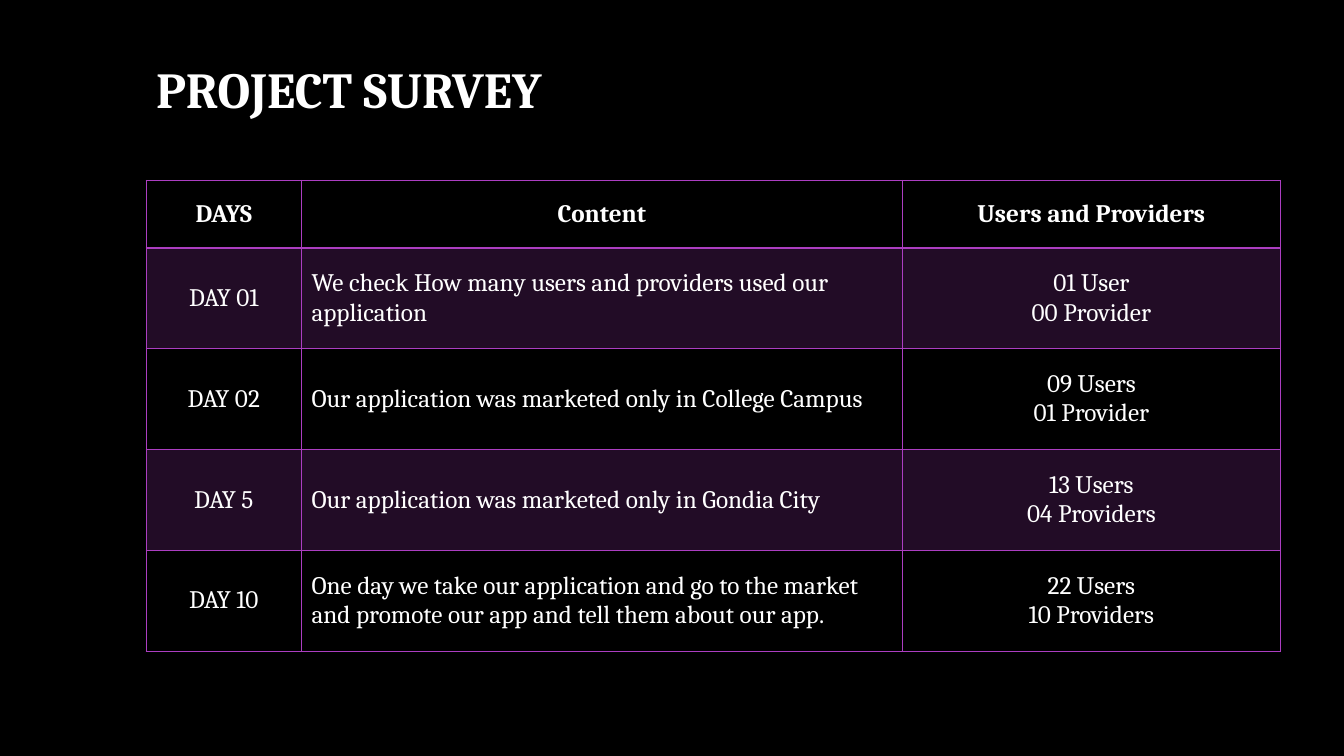
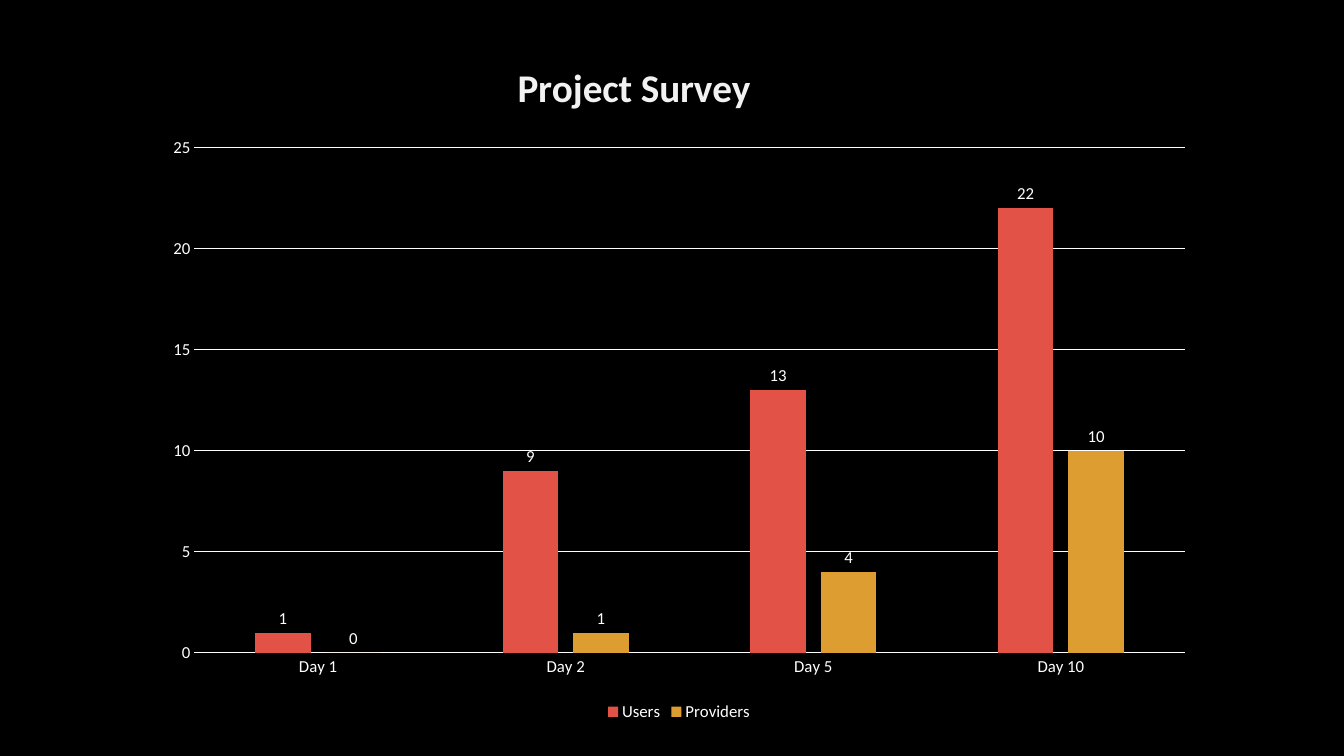
"""Build a two-slide project survey: a table of days and a column chart."""
from dataclasses import dataclass

from lxml.etree import SubElement
from pptx import Presentation
from pptx.chart.data import CategoryChartData as ChartData
from pptx.dml.color import RGBColor as Rgb
from pptx.enum.chart import XL_CHART_TYPE as Kind
from pptx.enum.chart import XL_LABEL_POSITION as Spot
from pptx.enum.chart import XL_LEGEND_POSITION as Side
from pptx.enum.chart import XL_TICK_MARK as Tick
from pptx.enum.text import MSO_ANCHOR as Anchor
from pptx.enum.text import PP_ALIGN as Align
from pptx.oxml import parse_xml
from pptx.oxml.ns import nsdecls, qn
from pptx.util import Inches, Pt

HUES = {
    "back": "000000",
    "text": "FFFFFF",
    "title": "F2F2F2",
    "grid": "AC3EC1",
    "users": "E25247",
    "firms": "DD9D31",
}
SERIF, SANS = "Cambria", "Calibri"


@dataclass(frozen=True)
class Entry:
    day: str
    note: str
    count: str


@dataclass(frozen=True)
class Group:
    name: str
    hue: str
    vals: tuple[int, ...]


HEAD = Entry("DAYS", "Content", "Users and Providers")
ROWS = (
    Entry("DAY 01", "We check How many users and providers used our application",
          "01 User\n00 Provider"),
    Entry("DAY 02", "Our application was marketed only in College Campus",
          "09 Users\n01 Provider"),
    Entry("DAY 5", "Our application was marketed only in Gondia City",
          "13 Users\n04 Providers"),
    Entry("DAY 10", "One day we take our application and go to the market and "
          "promote our app and tell them about our app.",
          "22 Users\n10 Providers"),
)
WIDTHS = (1.54, 5.96, 3.75)
DAYS = ("Day 1", "Day 2", "Day 5", "Day 10")
GROUPS = (
    Group("Users", "users", (1, 9, 13, 22)),
    Group("Providers", "firms", (0, 1, 4, 10)),
)


def color(key: str) -> Rgb:
    return Rgb.from_string(HUES[key])


def style(font, size: float, face: str, hue: str = "text", bold: bool = False) -> None:
    font.size, font.name, font.bold = Pt(size), face, bold
    font.color.rgb = color(hue)


def add_slide(deck):
    slide = deck.slides.add_slide(deck.slide_layouts[6])
    slide.background.fill.solid()
    slide.background.fill.fore_color.rgb = color("back")
    return slide


def write(frame, text: str, size: float, bold: bool, align=Align.LEFT) -> None:
    for i, line in enumerate(text.split("\n")):
        para = frame.paragraphs[0] if i == 0 else frame.add_paragraph()
        para.alignment = align
        run = para.add_run()
        run.text = line
        style(run.font, size, SERIF, bold=bold)


def border(cell, sides: dict[str, float]) -> None:
    props = cell._tc.get_or_add_tcPr()
    for i, (side, width) in enumerate(sides.items()):
        props.insert(i, parse_xml(
            f'<a:ln{side} {nsdecls("a")} w="{Pt(width)}"><a:solidFill>'
            f'<a:srgbClr val="{HUES["grid"]}"/></a:solidFill></a:ln{side}>'))


def shade(cell, band: bool) -> None:
    if not band:
        cell.fill.background()
        return
    cell.fill.solid()
    cell.fill.fore_color.rgb = color("grid")
    tint = cell._tc.tcPr.find(f'{qn("a:solidFill")}/{qn("a:srgbClr")}')
    SubElement(tint, qn("a:alpha"), val="20000")


def add_table(slide) -> None:
    lines = (HEAD, *ROWS)
    table = slide.shapes.add_table(
        len(lines), len(WIDTHS), Inches(1.45), Inches(1.79),
        Inches(sum(WIDTHS)), Inches(4.67)).table
    table.horz_banding = False
    for col, width in zip(table.columns, WIDTHS):
        col.width = Inches(width)
    for r, entry in enumerate(lines):
        head = r == 0
        table.rows[r].height = Inches(0.67 if head else 1)
        for c, text in enumerate((entry.day, entry.note, entry.count)):
            cell = table.cell(r, c)
            cell.vertical_anchor = Anchor.MIDDLE
            align = Align.LEFT if c == 1 and not head else Align.CENTER
            write(cell.text_frame, text, 18, head, align)
            shade(cell, r % 2 == 1)
            border(cell, {"L": 1, "R": 1, "T": 2 if r == 1 else 1,
                          "B": 2 if head else 1})


def place(part, index: int, spots: dict[str, float], inner: bool = False) -> None:
    old = part.find(qn("c:layout"))
    if old is not None:
        part.remove(old)
    target = '<c:layoutTarget val="inner"/>' if inner else ""
    modes = "".join(f'<c:{k}Mode val="edge"/>' for k in "xy")
    vals = "".join(f'<c:{k} val="{v}"/>' for k, v in spots.items())
    part.insert(index, parse_xml(
        f'<c:layout {nsdecls("c")}><c:manualLayout>{target}{modes}{vals}'
        '</c:manualLayout></c:layout>'))


def rule(line) -> None:
    line.color.rgb = color("text")
    line.width = Pt(0.75)


def add_chart(slide) -> None:
    data = ChartData()
    data.categories = DAYS
    for group in GROUPS:
        data.add_series(group.name, group.vals)
    chart = slide.shapes.add_chart(
        Kind.COLUMN_CLUSTERED, Inches(1.51), Inches(0.33),
        Inches(10.45), Inches(6.87), data).chart
    style(chart.font, 10, SANS)

    chart.has_title = True
    title = chart.chart_title
    run = title.text_frame.paragraphs[0].add_run()
    run.text = "Project Survey"
    style(run.font, 28, SANS, "title", True)
    place(title._element, 1, {"x": 0.34, "y": 0.03})
    place(chart._chartSpace.chart.plotArea, 0,
          {"x": 0.04, "y": 0.165, "w": 0.94, "h": 0.73}, True)

    for axis in (chart.category_axis, chart.value_axis):
        axis.major_tick_mark = axis.minor_tick_mark = Tick.NONE
        style(axis.tick_labels.font, 12, SANS)
    rule(chart.category_axis.format.line)
    scale = chart.value_axis
    scale.minimum_scale, scale.maximum_scale, scale.major_unit = 0, 25, 5
    scale.format.line.fill.background()
    rule(scale.major_gridlines.format.line)

    chart.has_legend = True
    chart.legend.position = Side.BOTTOM
    chart.legend.include_in_layout = False
    style(chart.legend.font, 12, SANS)

    plot = chart.plots[0]
    plot.gap_width, plot.overlap, plot.vary_by_categories = 219, -27, False
    for bars, group in zip(plot.series, GROUPS):
        bars.format.fill.solid()
        bars.format.fill.fore_color.rgb = color(group.hue)
        labels = bars.data_labels
        labels.show_value, labels.position = True, Spot.OUTSIDE_END
        style(labels.font, 12, SANS)


def main() -> None:
    deck = Presentation()
    deck.slide_width, deck.slide_height = Inches(13.33), Inches(7.5)
    slide = add_slide(deck)
    box = slide.shapes.add_textbox(
        Inches(1.45), Inches(0.5), Inches(4.57), Inches(0.76))
    box.text_frame.word_wrap = True
    box.text_frame.vertical_anchor = Anchor.MIDDLE
    write(box.text_frame, "PROJECT SURVEY", 36, True)
    add_table(slide)
    add_chart(add_slide(deck))
    deck.save("out.pptx")


if __name__ == "__main__":
    main()
